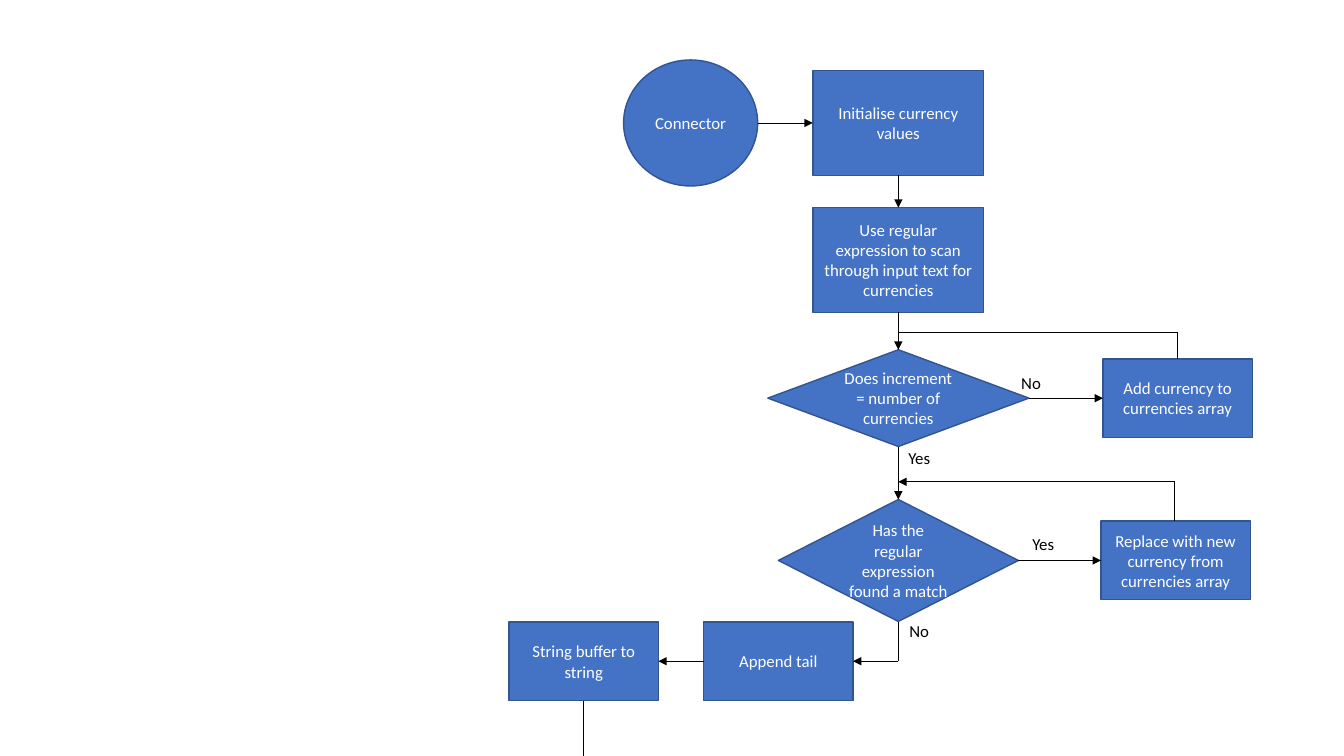
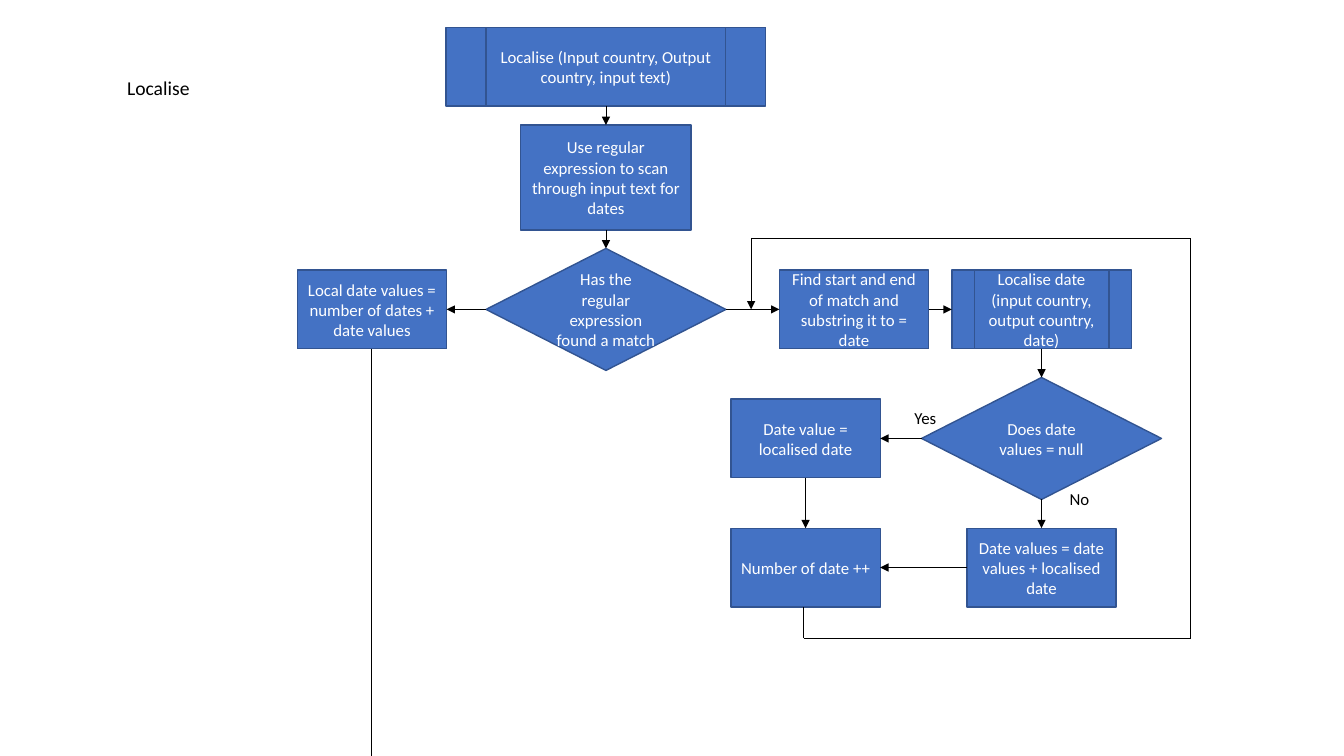
from itertools import pairwise

from lxml.etree import SubElement
from pptx import Presentation
from pptx.dml.color import RGBColor
from pptx.enum.shapes import MSO_CONNECTOR, MSO_SHAPE
from pptx.enum.text import MSO_ANCHOR, MSO_AUTO_SIZE, PP_ALIGN
from pptx.oxml.ns import qn
from pptx.util import Inches, Pt

# Shared style
COLOURS = {"fill": "4472C4", "outline": "325491", "light": "FFFFFF", "dark": "000000"}
FONT = "Calibri"
SLIDE_WIDTH, SLIDE_HEIGHT = 13.33, 7.5

# Shape and usual size of each flowchart element
KINDS = {
    "process": (MSO_SHAPE.FLOWCHART_PROCESS, 1.48, 0.78),
    "large process": (MSO_SHAPE.FLOWCHART_PROCESS, 1.69, 1.04),
    "decision": (MSO_SHAPE.FLOWCHART_DECISION, 2.38, 1.21),
    "wide decision": (MSO_SHAPE.FLOWCHART_DECISION, 2.59, 0.96),
    "subroutine": (MSO_SHAPE.FLOWCHART_PREDEFINED_PROCESS, 1.78, 0.78),
    "wide subroutine": (MSO_SHAPE.FLOWCHART_PREDEFINED_PROCESS, 3.17, 0.78),
    "connector": (MSO_SHAPE.FLOWCHART_CONNECTOR, 1.33, 1.25),
}
TOP, LEFT, BOTTOM, RIGHT = range(4)  # connection sites of a block


def colour(name):
    return RGBColor.from_string(COLOURS[name])


def format_text(paragraph, colour_name, alignment, size=12):
    paragraph.alignment = alignment
    for run in paragraph.runs:
        run.font.name = FONT
        run.font.size = Pt(size)
        run.font.color.rgb = colour(colour_name)


def add_block(slide, kind, centre_x, centre_y, text):
    preset, width, height = KINDS[kind]
    shape = slide.shapes.add_shape(
        preset, Inches(centre_x - width / 2), Inches(centre_y - height / 2),
        Inches(width), Inches(height))
    shape.shadow.inherit = False
    shape.fill.solid()
    shape.fill.fore_color.rgb = colour("fill")
    shape.line.color.rgb = colour("outline")
    shape.line.width = Pt(1)
    shape.text_frame.text = text
    shape.text_frame.vertical_anchor = MSO_ANCHOR.MIDDLE
    format_text(shape.text_frame.paragraphs[0], "light", PP_ALIGN.CENTER)
    return shape


def add_label(slide, left, top, text):
    label = slide.shapes.add_textbox(Inches(left), Inches(top), Inches(0.68), Inches(0.3))
    label.text_frame.word_wrap = True
    label.text_frame.auto_size = MSO_AUTO_SIZE.SHAPE_TO_FIT_TEXT
    label.text_frame.text = text
    format_text(label.text_frame.paragraphs[0], "dark", PP_ALIGN.LEFT)


def add_line(slide, start, end, arrow):
    line = slide.shapes.add_connector(
        MSO_CONNECTOR.STRAIGHT, *(Inches(value) for value in (*start, *end)))
    line.line.color.rgb = colour("dark")
    line.line.width = Pt(0.5)
    if arrow:
        SubElement(line.line._get_or_add_ln(), qn("a:tailEnd"), type="triangle")
    SubElement(line._element.spPr, qn("a:effectLst"))
    return line


def add_route(slide, *points, arrow=True):
    """Draw a line through the points, with an arrowhead at the last one."""
    for start, end in pairwise(points):
        add_line(slide, start, end, arrow and end == points[-1])


def link(slide, source, source_side, target, target_side):
    """Join two blocks with an arrow that stays attached to them."""
    line = add_line(slide, (0, 0), (1, 1), True)
    line.begin_connect(source, source_side)
    line.end_connect(target, target_side)


def set_title(slide, text):
    title = slide.shapes.title
    title.left, title.top = Inches(1.16), Inches(0.52)
    title.width, title.height = Inches(1.69), Inches(0.72)
    title.text_frame.text = text
    title.text_frame.vertical_anchor = MSO_ANCHOR.MIDDLE
    paragraph = title.text_frame.paragraphs[0]
    paragraph.line_spacing = 0.9
    format_text(paragraph, "dark", PP_ALIGN.LEFT, 14)


def build_currency_slide(presentation):
    slide = presentation.slides.add_slide(presentation.slide_layouts[6])
    main_x, currency_y, match_y, ending_y = 8.91, 3.95, 5.56, 6.56

    # Blocks
    add_block(slide, "connector", 6.85, 1.22, "Connector")
    initialise = add_block(slide, "large process", main_x, 1.22, "Initialise currency values")
    scan = add_block(slide, "large process", main_x, 2.58,
                     "Use regular expression to scan through input text for currencies")
    counted = add_block(slide, "wide decision", main_x, currency_y,
                        "Does increment = number of currencies")
    add_currency = add_block(slide, "process", 11.68, currency_y,
                             "Add currency to currencies array")
    matched = add_block(slide, "decision", main_x, match_y,
                        "Has the regular expression found a match")
    replace = add_block(slide, "process", 11.66, match_y,
                        "Replace with new currency from currencies array")
    append_tail = add_block(slide, "process", 7.72, ending_y, "Append tail")
    to_string = add_block(slide, "process", 5.79, ending_y, "String buffer to string")

    # Arrows between blocks
    link(slide, initialise, BOTTOM, scan, TOP)
    link(slide, scan, BOTTOM, counted, TOP)
    link(slide, counted, RIGHT, add_currency, LEFT)
    link(slide, counted, BOTTOM, matched, TOP)
    link(slide, matched, RIGHT, replace, LEFT)
    link(slide, append_tail, LEFT, to_string, RIGHT)

    # Loops, entry and exit
    add_route(slide, (7.52, 1.22), (8.06, 1.22))
    add_route(slide, (11.68, 3.56), (11.68, 3.3), (main_x, 3.3), arrow=False)
    add_route(slide, (11.65, 5.17), (11.65, 4.78), (main_x, 4.78))
    add_route(slide, (main_x, 6.17), (main_x, ending_y), (8.46, ending_y))
    add_route(slide, (5.79, 6.95), (5.79, SLIDE_HEIGHT), arrow=False)

    # Answers
    add_label(slide, 10.03, 3.65, "No")
    add_label(slide, 8.91, 4.39, "Yes")
    add_label(slide, 10.14, 5.25, "Yes")
    add_label(slide, 8.92, 6.11, "No")


def build_date_slide(presentation):
    slide = presentation.slides.add_slide(presentation.slide_layouts[5])
    set_title(slide, "Localise")
    main_x, number_x, date_x = 6.01, 7.99, 10.33
    match_y, null_y, number_y = 3.07, 4.35, 5.63

    # Blocks
    localise = add_block(slide, "wide subroutine", main_x, 0.66,
                         "Localise (Input country, Output country, input text)")
    scan = add_block(slide, "large process", main_x, 1.76,
                     "Use regular expression to scan through input text for dates")
    matched = add_block(slide, "decision", main_x, match_y,
                        "Has the regular expression found a match")
    local_values = add_block(slide, "process", 3.69, match_y,
                             "Local date values = number of dates + date values")
    find = add_block(slide, "process", 8.47, match_y,
                     "Find start and end of match and substring it to = date")
    localise_date = add_block(slide, "subroutine", date_x, match_y,
                              "Localise date (input country, output country, date)")
    is_null = add_block(slide, "decision", date_x, null_y, "Does date values = null")
    set_value = add_block(slide, "process", number_x, null_y, "Date value = localised date")
    add_value = add_block(slide, "process", date_x, number_y,
                          "Date values = date values + localised date")
    number = add_block(slide, "process", number_x, number_y, "Number of date ++")

    # Arrows between blocks
    link(slide, localise, BOTTOM, scan, TOP)
    link(slide, scan, BOTTOM, matched, TOP)
    link(slide, matched, LEFT, local_values, RIGHT)
    link(slide, matched, RIGHT, find, LEFT)
    link(slide, find, RIGHT, localise_date, LEFT)
    link(slide, localise_date, BOTTOM, is_null, TOP)
    link(slide, is_null, LEFT, set_value, RIGHT)
    link(slide, is_null, BOTTOM, add_value, TOP)
    link(slide, set_value, BOTTOM, number, TOP)
    link(slide, add_value, LEFT, number, RIGHT)

    # Loop back to the next match, and exit
    add_route(slide, (7.97, 6.02), (7.97, 6.33), (11.81, 6.33), (11.81, 2.36),
              (7.45, 2.36), (7.45, match_y))
    add_route(slide, (3.68, 3.46), (3.68, SLIDE_HEIGHT), arrow=False)

    # Answers
    add_label(slide, 8.97, 4, "Yes")
    add_label(slide, 10.51, 4.8, "No")


def main():
    presentation = Presentation()
    presentation.slide_width = Inches(SLIDE_WIDTH)
    presentation.slide_height = Inches(SLIDE_HEIGHT)
    build_currency_slide(presentation)
    build_date_slide(presentation)
    presentation.save("out.pptx")


main()
